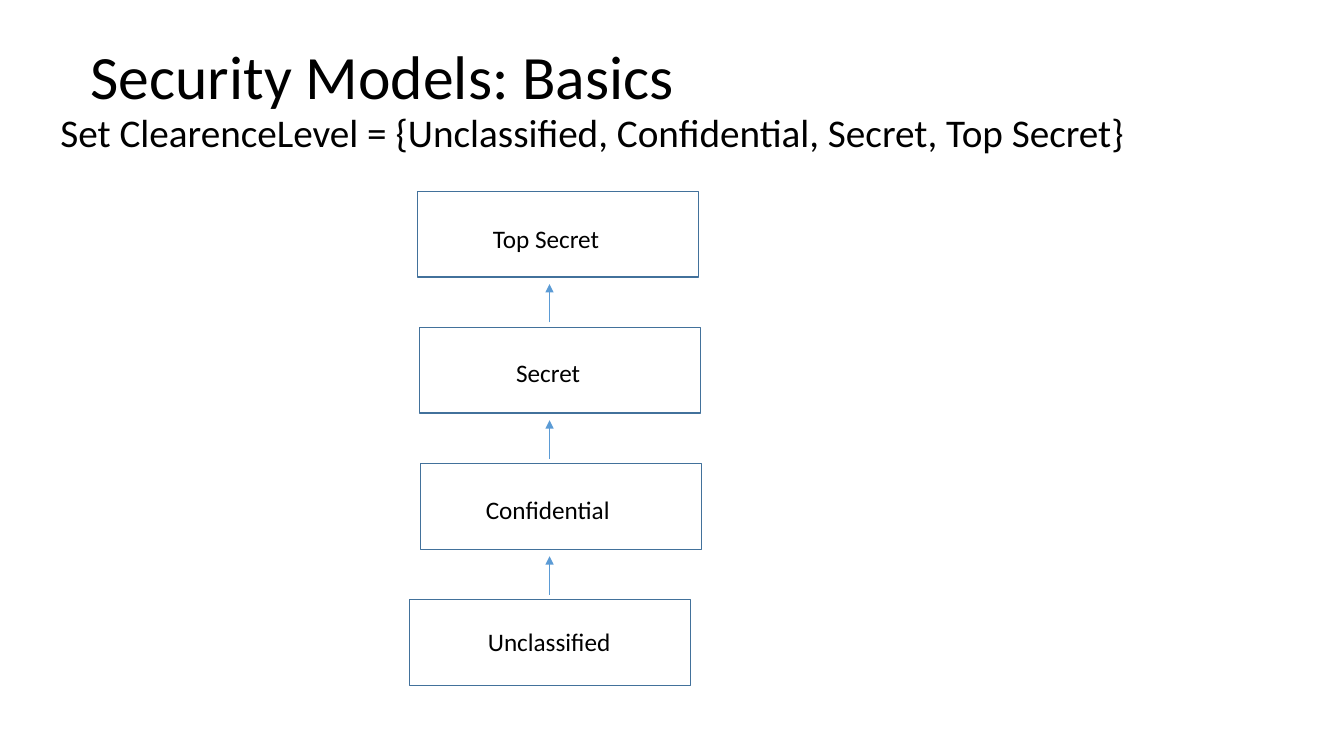
"""Build the slide on clearance levels in security models."""
from dataclasses import dataclass

from lxml import etree
from pptx import Presentation
from pptx.dml.color import RGBColor
from pptx.enum.shapes import MSO_CONNECTOR, MSO_SHAPE
from pptx.enum.text import MSO_ANCHOR, PP_ALIGN
from pptx.oxml.ns import qn
from pptx.util import Inches, Pt

LEFT = PP_ALIGN.LEFT
TOP, MIDDLE = MSO_ANCHOR.TOP, MSO_ANCHOR.MIDDLE
RECT, STRAIGHT = MSO_SHAPE.RECTANGLE, MSO_CONNECTOR.STRAIGHT
WIDTH, HEIGHT = Inches(13.33), Inches(7.5)
TITLE_ONLY = 5

FIRST_ROW, ROW_PITCH = 25.33, 18
BOX_W, BOX_H = 20.93, 11.33
LABEL_H = 5.33
ARROW_X, ARROW_GAP, ARROW_LENGTH = 40.89, 0.67, 5.07


@dataclass(frozen=True)
class Theme:
    """Colours, font and sizes of the slide."""
    font: str = "Calibri"
    text: str = "000000"
    box: str = "42719B"
    arrow: str = "5B9BD5"
    title_size: float = 44
    body_size: float = 28
    label_size: float = 18
    box_line: float = 1
    arrow_line: float = 0.75


@dataclass(frozen=True)
class Level:
    """One clearance level, placed in percent of the slide's size."""
    name: str
    box_left: float
    label_left: float
    label_width: float
    label_drop: float


THEME = Theme()
LEVELS = (
    Level("Top Secret", 31.06, 35.93, 9.53, 3.6),
    Level("Secret", 31.2, 37.66, 6.3, 3.33),
    Level("Confidential", 31.28, 35.41, 10.88, 3.33),
    Level("Unclassified", 30.46, 35.56, 10.73, 2.8),
)


def across(share):
    """Turn a percentage of the slide's width into a length."""
    return round(WIDTH * share / 100)


def down(share):
    """Turn a percentage of the slide's height into a length."""
    return round(HEIGHT * share / 100)


def area(left, top, width, height):
    """Turn four percentages into a position and size."""
    return across(left), down(top), across(width), down(height)


def write(sp, text, *, size, anchor=TOP, spacing=1.0, wrap=True):
    """Write one formatted paragraph into a shape."""
    tf = sp.text_frame
    tf.word_wrap = wrap
    tf.vertical_anchor = anchor
    p = tf.paragraphs[0]
    p.alignment = LEFT
    p.line_spacing = spacing
    r = p.add_run()
    r.text = text
    r.font.name = THEME.font
    r.font.size = Pt(size)
    r.font.color.rgb = RGBColor.from_string(THEME.text)


def set_line(line, color, width):
    """Give a line its colour and width."""
    line.color.rgb = RGBColor.from_string(color)
    line.width = Pt(width)


def add_title(s, text):
    """Place and fill the title placeholder."""
    sp = s.shapes.title
    sp.left, sp.top, sp.width, sp.height = area(6, 0.8, 86.25, 19.33)
    write(sp, text, size=THEME.title_size, anchor=MIDDLE, spacing=0.9)


def add_text(s, text, place, **fmt):
    """Add a text box."""
    write(s.shapes.add_textbox(*area(*place)), text, **fmt)


def add_box(s, left, top):
    """Add an outlined box for one level."""
    sp = s.shapes.add_shape(RECT, *area(left, top, BOX_W, BOX_H))
    sp.shadow.inherit = False
    sp.fill.background()
    set_line(sp.line, THEME.box, THEME.box_line)


def add_arrow(s, x, bottom):
    """Add an upward arrow that starts at the given height."""
    tip = bottom - ARROW_LENGTH
    sp = s.shapes.add_connector(STRAIGHT, across(x), down(bottom), across(x), down(tip))
    set_line(sp.line, THEME.arrow, THEME.arrow_line)
    etree.SubElement(sp.line._get_or_add_ln(), qn("a:tailEnd"), type="triangle")
    etree.SubElement(sp._element.spPr, qn("a:effectLst"))


def add_level(s, row, level):
    """Add a level's box, its label and the arrow to the level above."""
    top = FIRST_ROW + row * ROW_PITCH
    add_box(s, level.box_left, top)
    place = level.label_left, top + level.label_drop, level.label_width, LABEL_H
    add_text(s, level.name, place, size=THEME.label_size, wrap=False)
    if row:
        add_arrow(s, ARROW_X, top - ARROW_GAP)


def main():
    """Build and save the slide."""
    prs = Presentation()
    prs.slide_width, prs.slide_height = WIDTH, HEIGHT
    s = prs.slides.add_slide(prs.slide_layouts[TITLE_ONLY])
    add_title(s, "Security Models: Basics")
    add_text(s, "Set ClearenceLevel = {Unclassified, Confidential, Secret, Top Secret}",
             (3.75, 14.4, 88.5, 80.93), size=THEME.body_size, spacing=0.9)
    for row, level in enumerate(LEVELS):
        add_level(s, row, level)
    prs.save("out.pptx")


if __name__ == "__main__":
    main()
